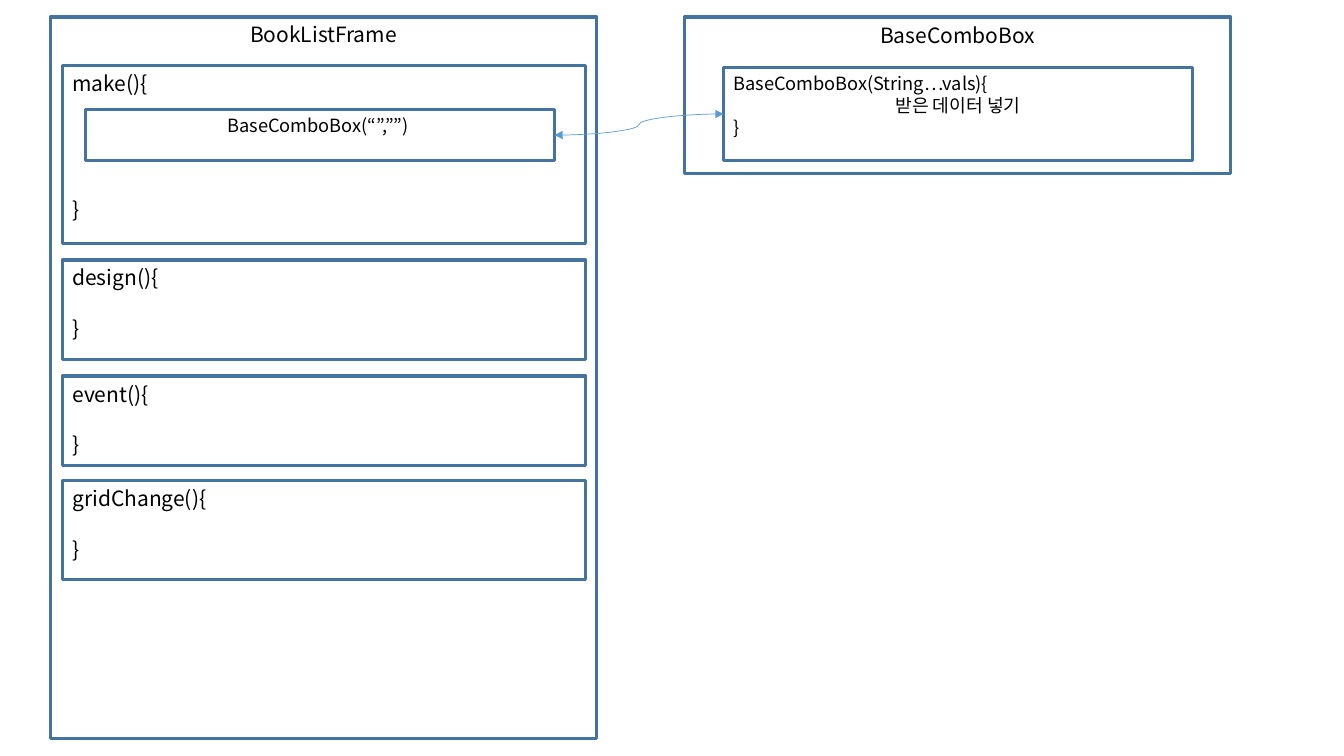
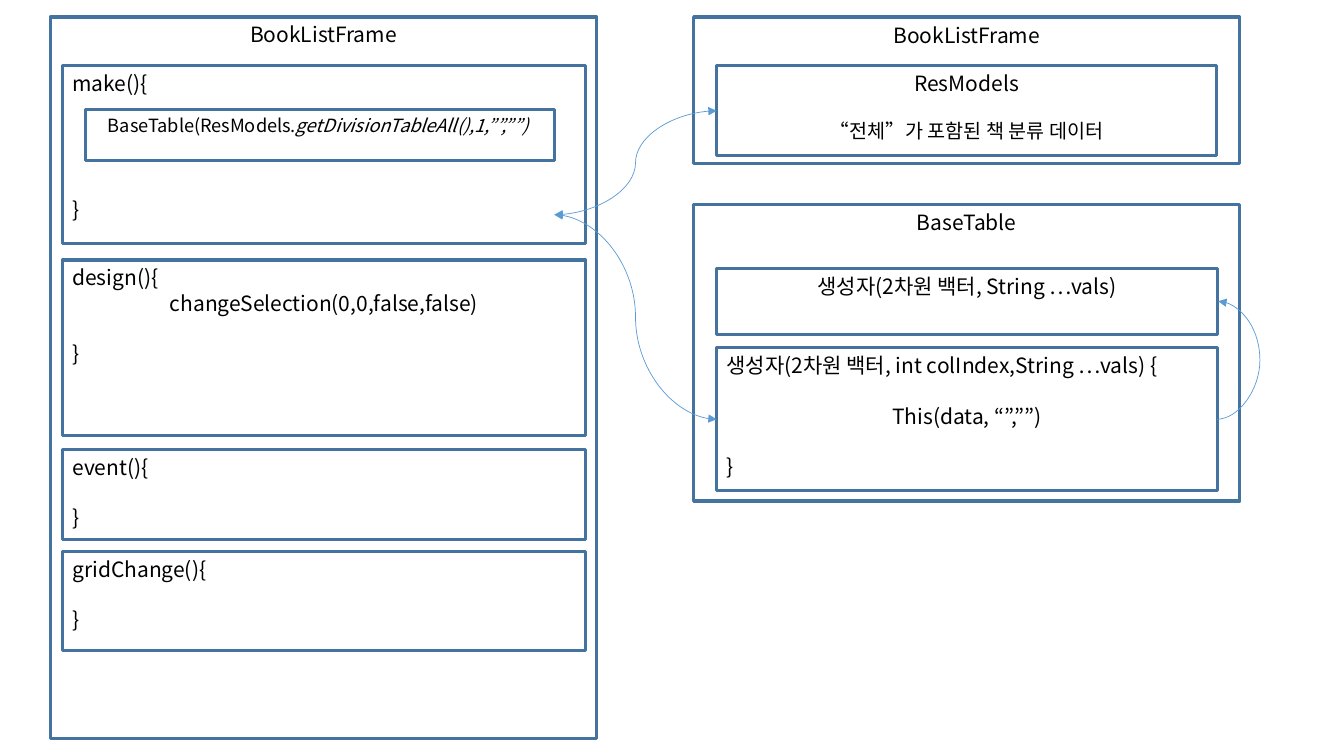
from dataclasses import dataclass

from lxml import etree
from pptx import Presentation
from pptx.dml.color import RGBColor
from pptx.enum.shapes import MSO_CONNECTOR as Connector, MSO_SHAPE as Shape
from pptx.enum.text import MSO_ANCHOR as Anchor, PP_ALIGN as Align
from pptx.oxml.ns import qn
from pptx.util import Pt

COLORS = {"border": "43739E", "arrow": "5B9BD5", "text": "000000"}
FONT = "Noto Sans CJK KR"
LEADING = 1.2
FRAME_WIDTH = 390.2
FRAME_TOP = 12.2


@dataclass
class Line:
    """One paragraph of a box, with the number of empty lines above it."""
    text: str
    centered: bool = False
    size: float = 15
    lines_above: int = 0
    italic_text: str = ""


def color(name):
    """Return a named colour."""
    return RGBColor.from_string(COLORS[name])


def add_run(paragraph, text, size, italic=False):
    """Add one styled run to a paragraph."""
    run = paragraph.add_run()
    run.text = text
    run.font.name = FONT
    run.font.size = Pt(size)
    run.font.color.rgb = color("text")
    if italic:
        run.font.italic = True
    east_asian = etree.SubElement(run.font._element, qn("a:ea"))
    east_asian.set("typeface", FONT)


def add_box(slide, box, lines):
    """Draw an outlined box with its lines of text at the top."""
    shape = slide.shapes.add_shape(Shape.RECTANGLE, *map(Pt, box))
    shape.shadow.inherit = False
    shape.fill.background()
    shape.line.color.rgb = color("border")
    shape.line.width = Pt(2.25)
    frame = shape.text_frame
    frame.word_wrap = True
    frame.vertical_anchor = Anchor.TOP
    for index, line in enumerate(lines):
        paragraph = frame.add_paragraph() if index else frame.paragraphs[0]
        paragraph.alignment = Align.CENTER if line.centered else Align.LEFT
        leading = line.size * LEADING
        paragraph.line_spacing = Pt(leading)
        paragraph.space_before = Pt(leading * line.lines_above)
        add_run(paragraph, line.text, line.size)
        if line.italic_text:
            add_run(paragraph, line.italic_text, line.size, italic=True)


def add_arrow(slide, start, end, both_ends=True, bend=None):
    """Draw a curved arrow, with its bend as a share of its width."""
    connector = slide.shapes.add_connector(
        Connector.CURVE, *map(Pt, (*start, *end)))
    connector.line.color.rgb = color("arrow")
    connector.line.width = Pt(0.5)
    outline = connector.line._get_or_add_ln()
    for tag in ("a:headEnd", "a:tailEnd") if both_ends else ("a:tailEnd",):
        etree.SubElement(outline, qn(tag)).set("type", "triangle")
    properties = connector._element.spPr
    etree.SubElement(properties, qn("a:effectLst"))
    if bend is not None:
        adjustments = properties.find(qn("a:prstGeom")).get_or_add_avLst()
        guide = etree.SubElement(adjustments, qn("a:gd"))
        guide.set("name", "adj1")
        guide.set("fmla", f"val {round(bend * 100000)}")


def add_class(slide, box, title, members):
    """Draw a class frame and its members, placed relative to the frame."""
    left, top, _, _ = box
    add_box(slide, box, [Line(title, centered=True)])
    for (x, y, width, height), lines in members:
        add_box(slide, (left + x, top + y, width, height), lines)


def method(top, height, name, *body, lines_above=1):
    """Describe a method box of the book list frame."""
    lines = [Line(f"{name}(){{"), *body, Line("}", lines_above=lines_above)]
    return (8.6, top, 373.7, height), lines


def add_book_list(slide, call, *methods):
    """Draw the book list frame with make() and the methods below it."""
    make = method(34.6, 127.4, "make", lines_above=4)
    add_class(slide, (36, FRAME_TOP, FRAME_WIDTH, 515.5), "BookListFrame",
              [make, ((25.2, 66.3, 334.8, 36), [call]), *methods])


def add_combo_slide(slide):
    """Build the combo box slide."""
    add_book_list(
        slide, Line("BaseComboBox(“”,””) ", centered=True, size=13),
        method(173.5, 71.3, "design"),
        method(256.4, 64.1, "event"),
        method(331.2, 70.6, "gridChange"))
    constructor = [Line("BaseComboBox(String…vals){", size=13),
                   Line("받은 데이터 넣기", centered=True, size=13),
                   Line("} ", size=13)]
    add_class(slide, (488.9, FRAME_TOP, FRAME_WIDTH, 111.6), "BaseComboBox",
              [((28, 36, 334.8, 66.2), constructor)])
    add_arrow(slide, (396, 96.5), (516.9, 81.4))


def add_table_slide(slide):
    """Build the table slide."""
    right = 495.4
    add_class(slide, (right, 146.2, FRAME_WIDTH, 211.7), "BaseTable", [
        ((16.5, 45.3, 357.8, 47.5),
         [Line("생성자(2차원 백터, String …vals)", centered=True)]),
        ((16.5, 102.2, 357.8, 102.2),
         [Line("생성자(2차원 백터, int colIndex,String …vals) {"),
          Line("This(data, “”,””)", centered=True, lines_above=1),
          Line("}", lines_above=1)])])
    add_class(slide, (right, FRAME_TOP, FRAME_WIDTH, 104.4), "BookListFrame", [
        ((16.5, 34.6, 357.1, 64.1),
         [Line("ResModels", centered=True),
          Line("“전체”가 포함된 책 분류 데이터", centered=True, size=14,
               lines_above=1)])])
    add_book_list(
        slide, Line("BaseTable(ResModels.", centered=True, size=13,
                    italic_text="getDivisionTableAll(),1,””,””) "),
        method(173.5, 125.3, "design",
               Line("changeSelection(0,0,false,false)", centered=True)),
        method(308.9, 64.1, "event"),
        method(381.6, 70.6, "gridChange"))
    add_arrow(slide, (869.2, 299.5), (870.2, 215.2), both_ends=False, bend=31)
    for target in (79.2, 299.5):
        add_arrow(slide, (396, 153.4), (511.9, target))


def main():
    """Build and save the presentation."""
    presentation = Presentation()
    presentation.slide_width = Pt(960)
    presentation.slide_height = Pt(540)
    blank = presentation.slide_layouts[6]
    for build in (add_combo_slide, add_table_slide):
        build(presentation.slides.add_slide(blank))
    presentation.save("out.pptx")


main()
